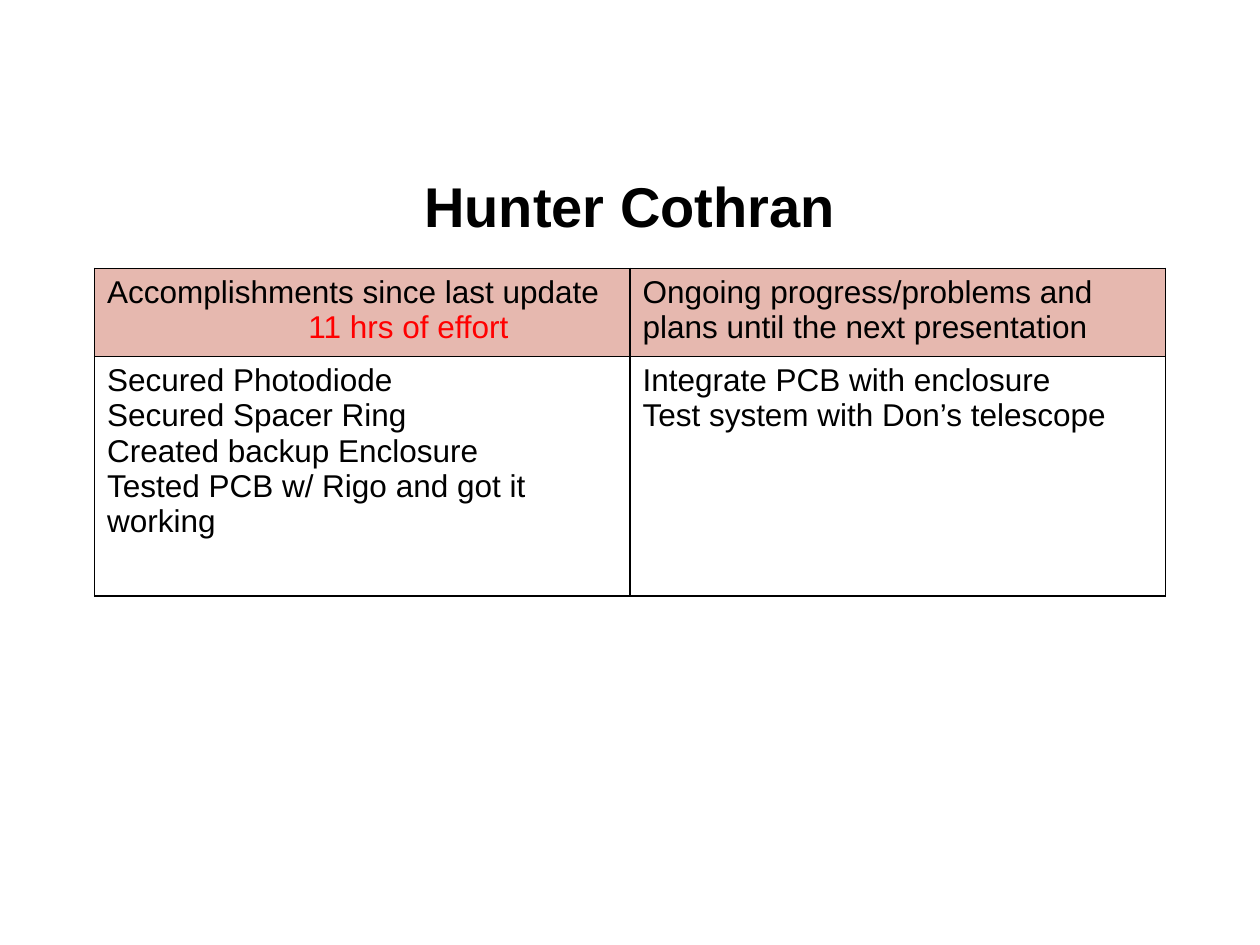
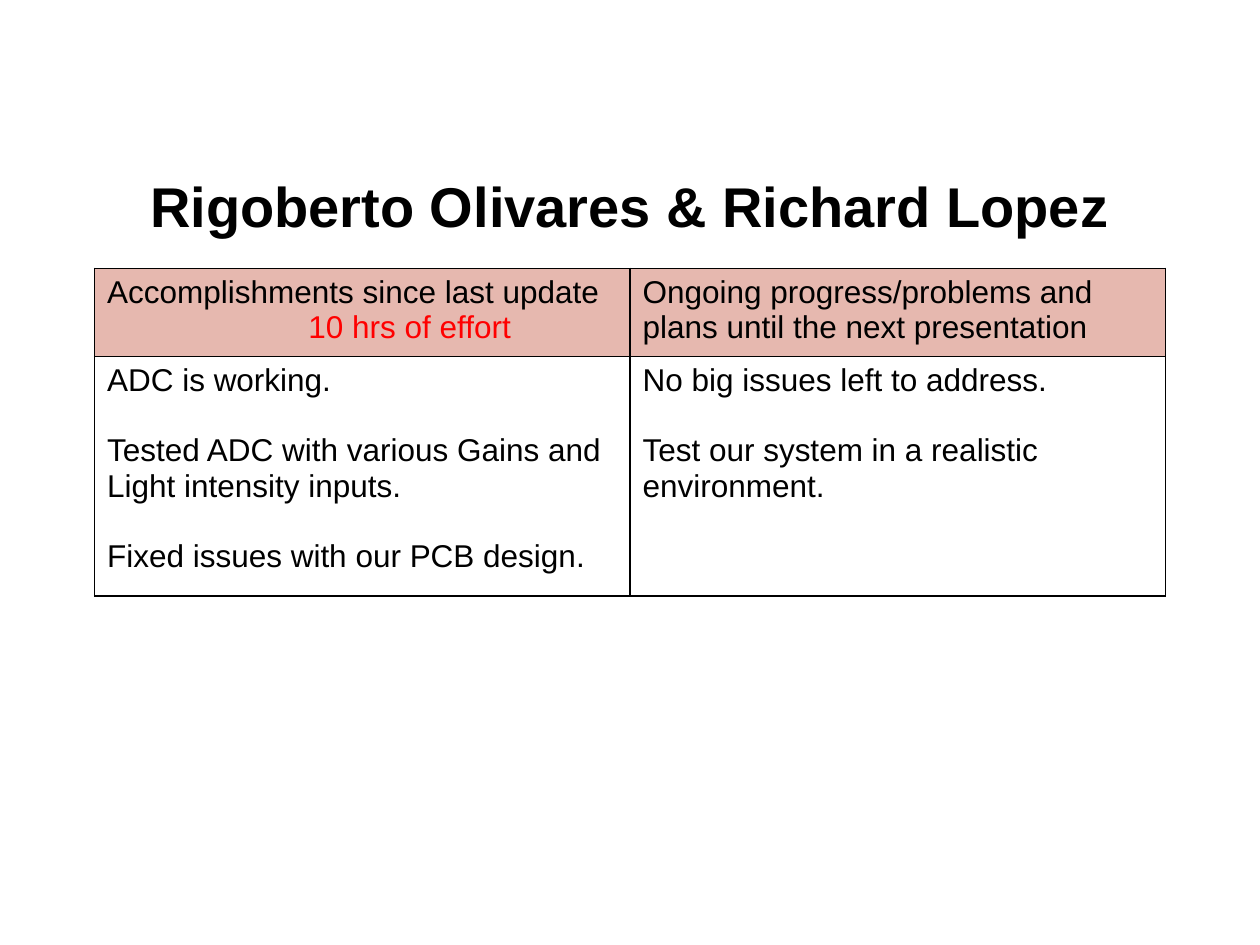
from lxml.etree import SubElement
from pptx import Presentation
from pptx.dml.color import RGBColor
from pptx.enum.text import MSO_ANCHOR, PP_ALIGN
from pptx.oxml.ns import qn
from pptx.util import Pt

BLACK = RGBColor(0x00, 0x00, 0x00)
RED = RGBColor(0xFF, 0x00, 0x00)
ROSE = RGBColor(0xE6, 0xB8, 0xAF)
FONT = "Arial"
TITLE_SIZE = 32
BODY_SIZE = 18
EFFORT_INDENT = 115
ITEM_GAP = 20
COL_WIDTH = 306
ROW_HEIGHTS = (50.4, 136.8)


class Deck:
    def __init__(self):
        self.prs = Presentation()
        self.prs.slide_width, self.prs.slide_height = Pt(720), Pt(540)
        self.s = None

    def slide(self):
        self.s = self.prs.slides.add_slide(self.prs.slide_layouts[6])

    def style(self, p, size, color=BLACK, bold=False):
        p.font.name = FONT
        p.font.size = Pt(size)
        p.font.bold = bold
        p.font.color.rgb = color

    def title(self, text):
        tf = self.s.shapes.add_textbox(Pt(36), Pt(82.8), Pt(648), Pt(63.4)).text_frame
        tf.word_wrap = True
        tf.vertical_anchor = MSO_ANCHOR.MIDDLE
        p = tf.paragraphs[0]
        p.text = text
        p.alignment = PP_ALIGN.CENTER
        p.line_spacing = 1.15
        self.style(p, TITLE_SIZE, bold=True)

    def borders(self, cell):
        tcPr = cell._tc.get_or_add_tcPr()
        for side in ("a:lnL", "a:lnR", "a:lnT", "a:lnB"):
            ln = SubElement(tcPr, qn(side), w=str(Pt(1)))
            fill = SubElement(ln, qn("a:solidFill"))
            SubElement(fill, qn("a:srgbClr"), val=str(BLACK))

    def cell(self, cell, lines, fill=None, gap=0):
        self.borders(cell)
        if fill is None:
            cell.fill.background()
        else:
            cell.fill.solid()
            cell.fill.fore_color.rgb = fill
        tf = cell.text_frame
        tf.text = "\n".join(lines)
        for i, p in enumerate(tf.paragraphs):
            self.style(p, BODY_SIZE)
            if i and gap:
                p.space_before = Pt(gap)

    def table(self, effort, done, planned, gap):
        table = self.s.shapes.add_table(
            2, 2, Pt(54), Pt(153.4), Pt(2 * COL_WIDTH), Pt(sum(ROW_HEIGHTS))
        ).table
        table.first_row = table.horz_banding = False
        for col in table.columns:
            col.width = Pt(COL_WIDTH)
        for row, height in zip(table.rows, ROW_HEIGHTS):
            row.height = Pt(height)

        self.cell(table.cell(0, 0), ["Accomplishments since last update", effort], ROSE)
        p = table.cell(0, 0).text_frame.paragraphs[1]
        p.font.color.rgb = RED
        p._p.get_or_add_pPr().set("marL", str(Pt(EFFORT_INDENT)))
        self.cell(
            table.cell(0, 1),
            ["Ongoing progress/problems and plans until the next presentation"],
            ROSE,
        )
        self.cell(table.cell(1, 0), done, gap=gap)
        self.cell(table.cell(1, 1), planned, gap=gap)

    def update(self, names, effort, done, planned, gap=0):
        self.slide()
        self.title(names)
        self.table(effort, done, planned, gap)


def main():
    deck = Deck()
    deck.update(
        "Hunter Cothran",
        "11 hrs of effort",
        [
            "Secured Photodiode",
            "Secured Spacer Ring",
            "Created backup Enclosure",
            "Tested PCB w/ Rigo and got it working",
        ],
        ["Integrate PCB with enclosure", "Test system with Don’s telescope"],
    )
    deck.update(
        "Rigoberto Olivares & Richard Lopez",
        "10 hrs of effort",
        [
            "ADC is working.",
            "Tested ADC with various Gains and Light intensity inputs.",
            "Fixed issues with our PCB design.",
        ],
        ["No big issues left to address.", "Test our system in a realistic environment."],
        gap=ITEM_GAP,
    )
    deck.prs.save("out.pptx")


if __name__ == "__main__":
    main()
